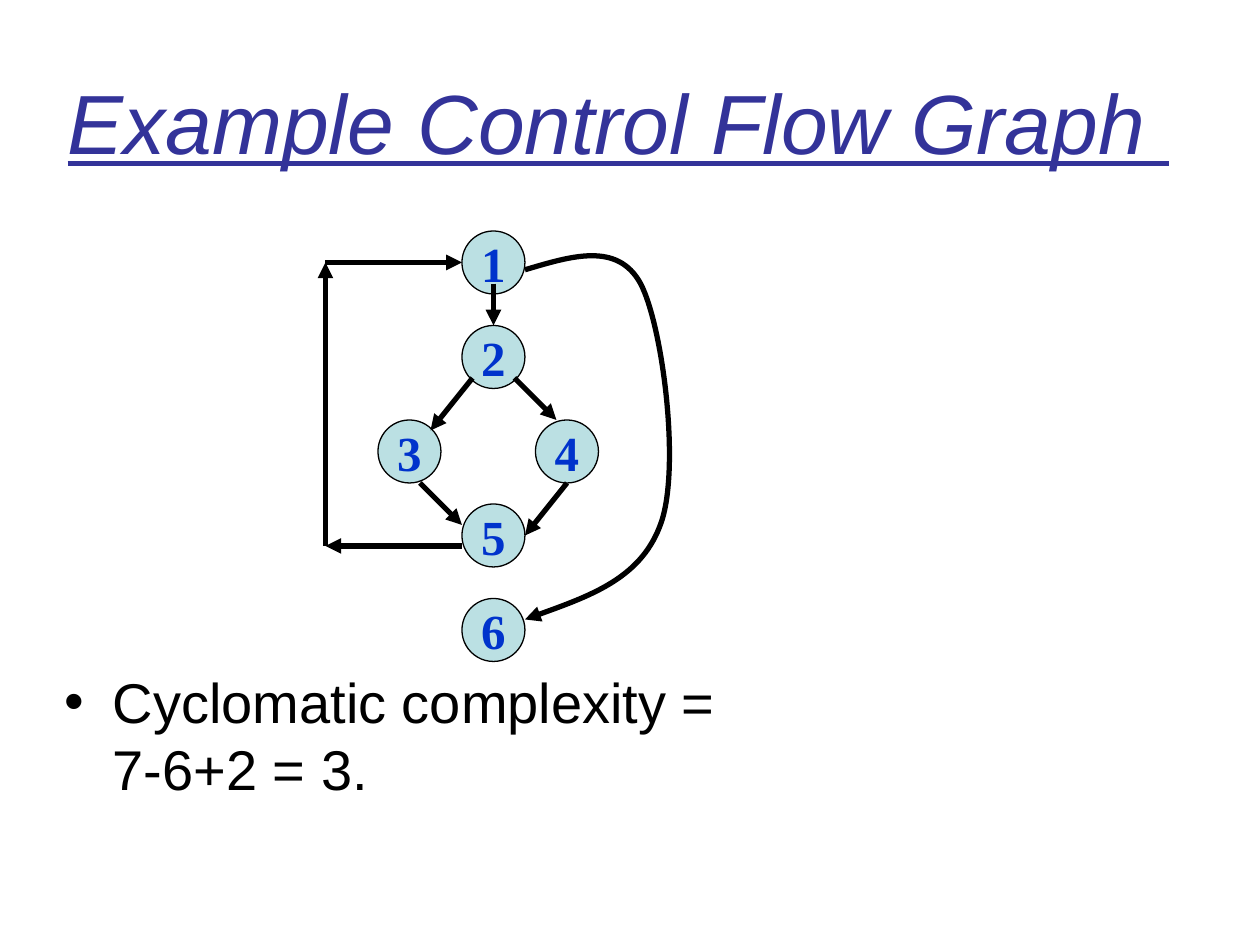
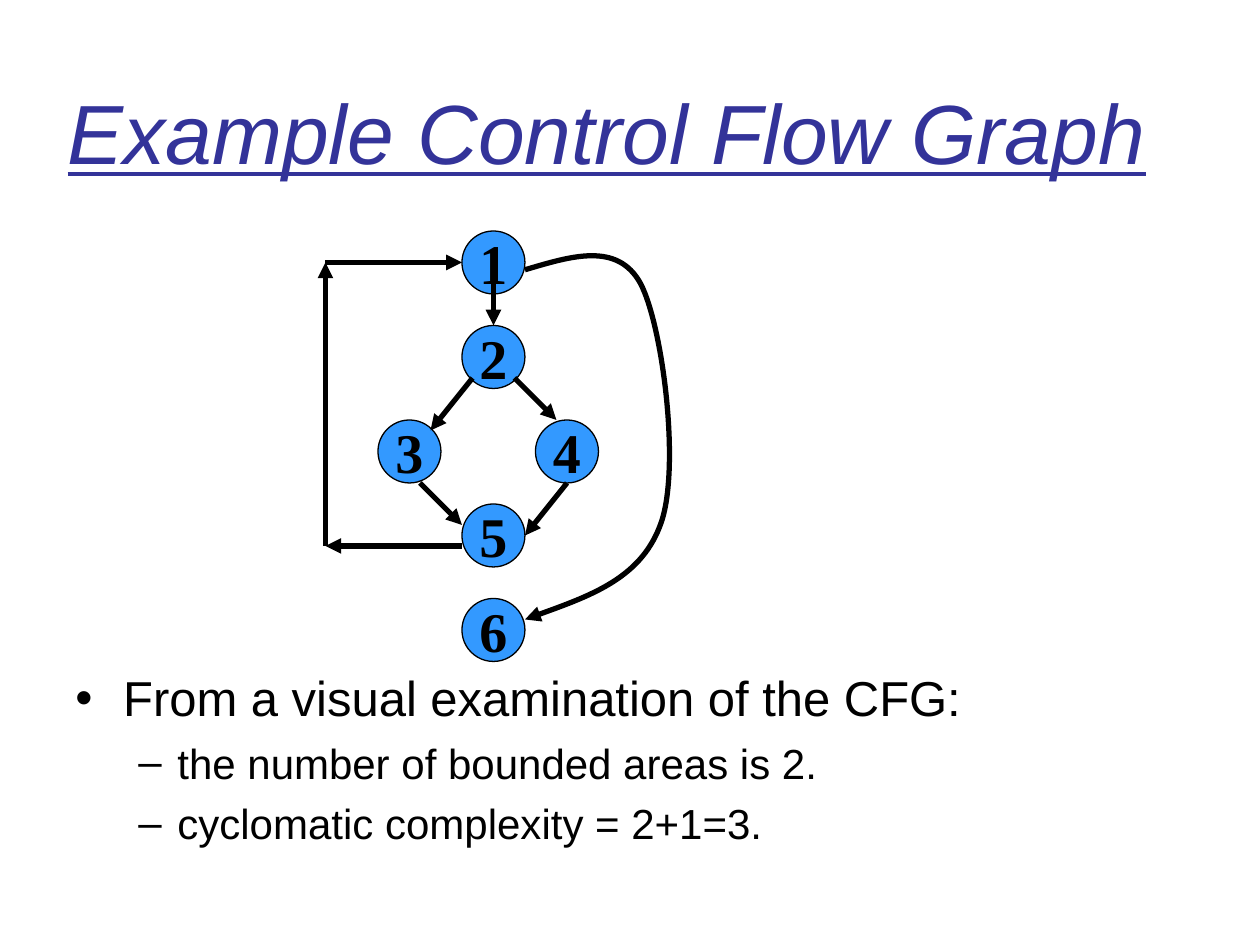
from lxml.etree import SubElement
from pptx import Presentation
from pptx.dml.color import RGBColor
from pptx.enum.shapes import MSO_CONNECTOR, MSO_SHAPE
from pptx.enum.text import MSO_ANCHOR, PP_ALIGN
from pptx.oxml.ns import qn
from pptx.util import Inches, Pt

BLACK = RGBColor(0x00, 0x00, 0x00)
TITLE_BLUE = RGBColor(0x33, 0x33, 0x99)
LABEL_BLUE = RGBColor(0x00, 0x33, 0xCC)
PALE_TEAL = RGBColor(0xBB, 0xE0, 0xE3)
BRIGHT_BLUE = RGBColor(0x33, 0x99, 0xFF)

GRID = Inches(1) / 12
NODE_SIZE = 6
NODES = {"1": (44, 22), "2": (44, 31), "3": (36, 40),
         "4": (51, 40), "5": (44, 48), "6": (44, 57)}
BRANCHES = [((47, 27), (47, 31)), ((45, 36), (41, 41)), ((49, 36), (53, 40)),
            ((40, 46), (44, 50)), ((54, 46), (50, 51))]
LOOP_BACK = [(44, 52), (31, 52), (31, 25), (44, 25)]
EXIT_CURVE = [(50, 25.7), (54.4, 24.4), (58.8, 23), (61, 27), (63.1, 31),
              (64.8, 44.3), (63, 49.7), (61.2, 55), (55.6, 57), (50, 59)]
BULLETS = [("•", 0.38, 0.38), ("–", 0.81, 0.31)]


def cells(*values):
    return [round(value * GRID) for value in values]


def style_runs(para, font, size, color, **traits):
    for span in para.runs:
        span.font.name = font
        span.font.size = Pt(size)
        span.font.color.rgb = color
        for trait, value in traits.items():
            setattr(span.font, trait, value)


def add_title(page, text, top):
    frame = page.shapes.add_textbox(*cells(5.25, top, 114.75, 15)).text_frame
    frame.word_wrap = True
    frame.vertical_anchor = MSO_ANCHOR.MIDDLE
    frame.text = text
    style_runs(frame.paragraphs[0], "Arial", 48, TITLE_BLUE, italic=True, underline=True)


def add_node(page, label, place, fill, size, color):
    node = page.shapes.add_shape(MSO_SHAPE.OVAL, *cells(*place, NODE_SIZE, NODE_SIZE))
    node.shadow.inherit = False
    node.fill.solid()
    node.fill.fore_color.rgb = fill
    node.line.color.rgb = BLACK
    node.line.width = Pt(0.75)
    frame = node.text_frame
    frame.word_wrap = False
    frame.vertical_anchor = MSO_ANCHOR.MIDDLE
    frame.text = label
    frame.paragraphs[0].alignment = PP_ALIGN.CENTER
    style_runs(frame.paragraphs[0], "Times New Roman", size, color, bold=True)


def style_arrow(arrow):
    arrow.line.color.rgb = BLACK
    arrow.line.width = Pt(3)
    outline = arrow.element.find(".//" + qn("a:ln"))
    SubElement(outline, qn("a:tailEnd"), type="triangle")
    SubElement(outline.getparent(), qn("a:effectLst"))


def add_arrow(page, start, end):
    style_arrow(page.shapes.add_connector(MSO_CONNECTOR.STRAIGHT, *cells(*start, *end)))


def add_curved_arrow(page, points):
    start, *rest = [cells(*point) for point in points]
    builder = page.shapes.build_freeform(*start)
    builder.add_line_segments(rest, close=False)
    curve = builder.convert_to_shape()
    outline = curve.element.find(".//" + qn("a:path"))
    segments = outline.findall(qn("a:lnTo"))
    for first in range(0, len(segments), 3):
        bezier = SubElement(outline, qn("a:cubicBezTo"))
        for segment in segments[first:first + 3]:
            bezier.append(segment[0])
            outline.remove(segment)
    curve.fill.background()
    style_arrow(curve)


def add_flow_graph(page, fill, size, color):
    for label, place in NODES.items():
        add_node(page, label, place, fill, size, color)
    for start, end in BRANCHES + list(zip(LOOP_BACK, LOOP_BACK[1:])):
        add_arrow(page, start, end)
    add_curved_arrow(page, EXIT_CURVE)


def add_bullets(page, area, items):
    frame = page.shapes.add_textbox(*cells(*area)).text_frame
    frame.word_wrap = True
    for index, (text, level, size) in enumerate(items):
        para = frame.add_paragraph() if index else frame.paragraphs[0]
        para.text = text
        para.level = level
        para.space_before = Pt(6 if index else 0)
        mark, margin, hanging = BULLETS[level]
        properties = para._p.get_or_add_pPr()
        properties.set("marL", str(Inches(margin)))
        properties.set("indent", str(-Inches(hanging)))
        mark_color = SubElement(properties, qn("a:buClr"))
        SubElement(mark_color, qn("a:srgbClr"), val=str(BLACK))
        SubElement(properties, qn("a:buFont"), typeface="Arial")
        SubElement(properties, qn("a:buChar"), char=mark)
        style_runs(para, "Arial", size, BLACK)


def main():
    deck = Presentation()
    deck.slide_width, deck.slide_height = Inches(10), Inches(7.5)
    blank = deck.slide_layouts[6]

    page = deck.slides.add_slide(blank)
    add_title(page, "Example Control Flow Graph ", 4)
    add_flow_graph(page, PALE_TEAL, 28, LABEL_BLUE)
    add_bullets(page, (5, 63, 115, 20), [("Cyclomatic complexity = \n7-6+2 = 3.", 0, 32)])

    page = deck.slides.add_slide(blank)
    add_title(page, "Example Control Flow Graph", 5)
    add_flow_graph(page, BRIGHT_BLUE, 32, BLACK)
    add_bullets(page, (6, 63, 108, 27), [
        ("From a visual examination of the CFG:", 0, 28),
        ("the number of bounded areas is 2.", 1, 24),
        ("cyclomatic complexity = 2+1=3.", 1, 24),
    ])

    deck.save("out.pptx")


if __name__ == "__main__":
    main()
